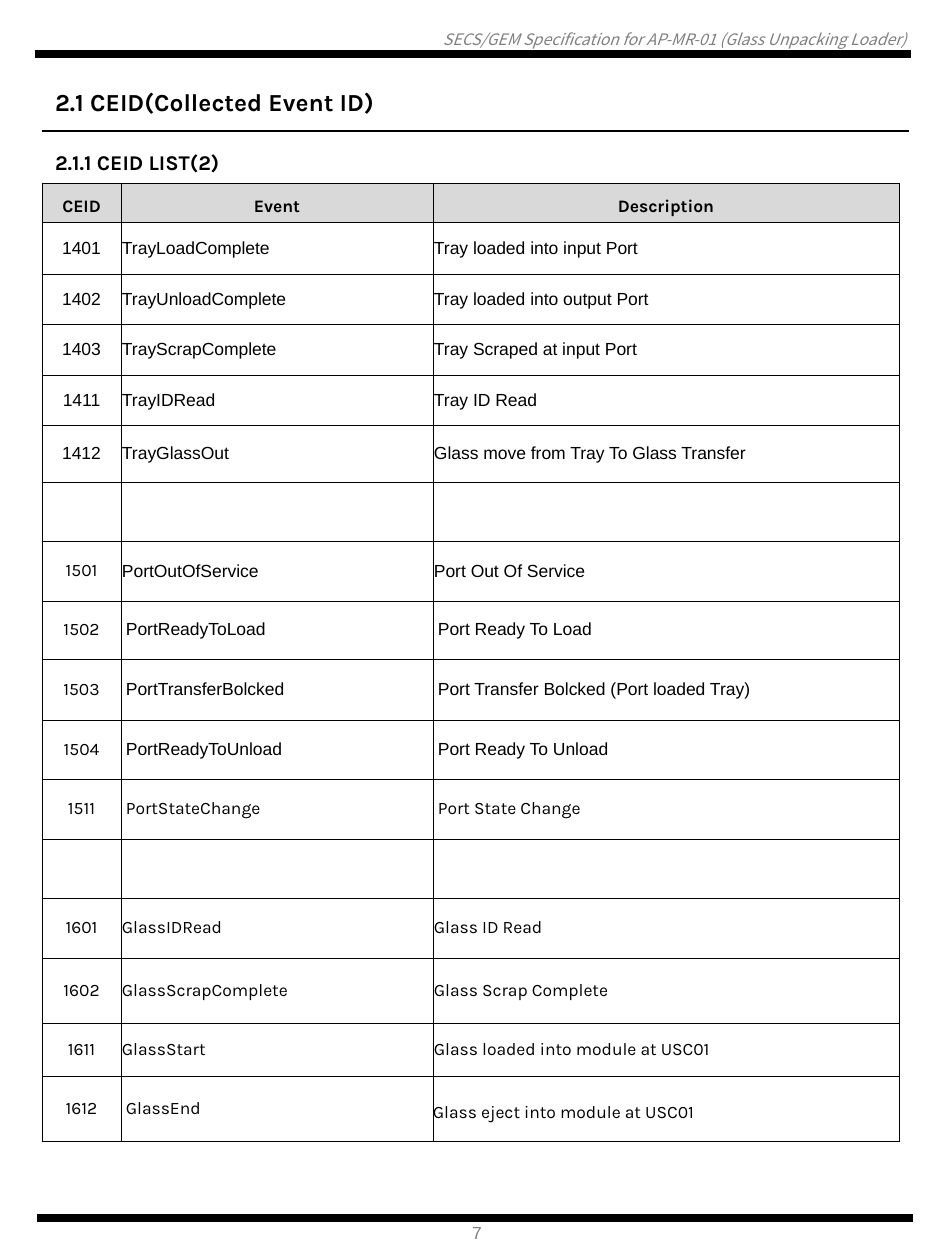
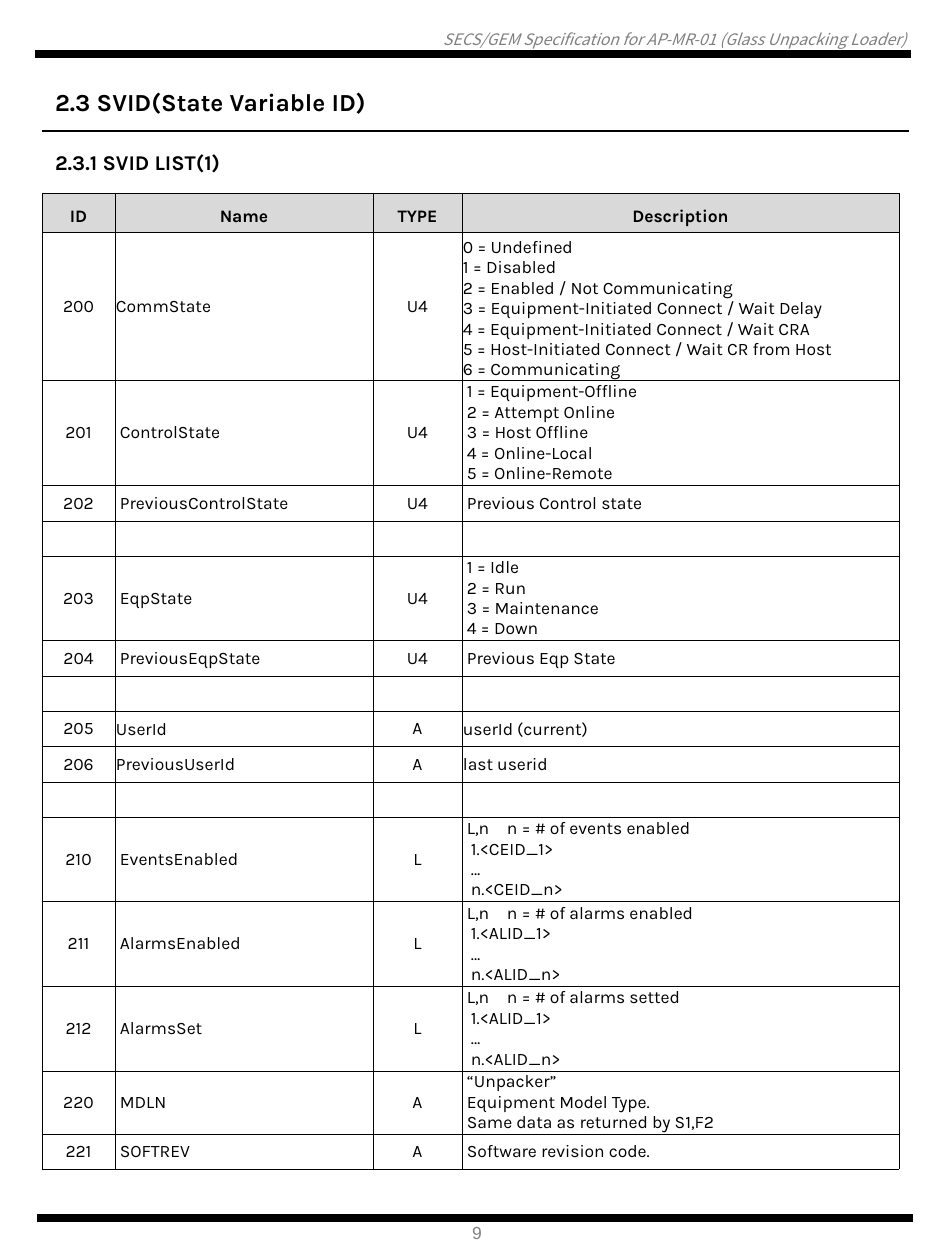
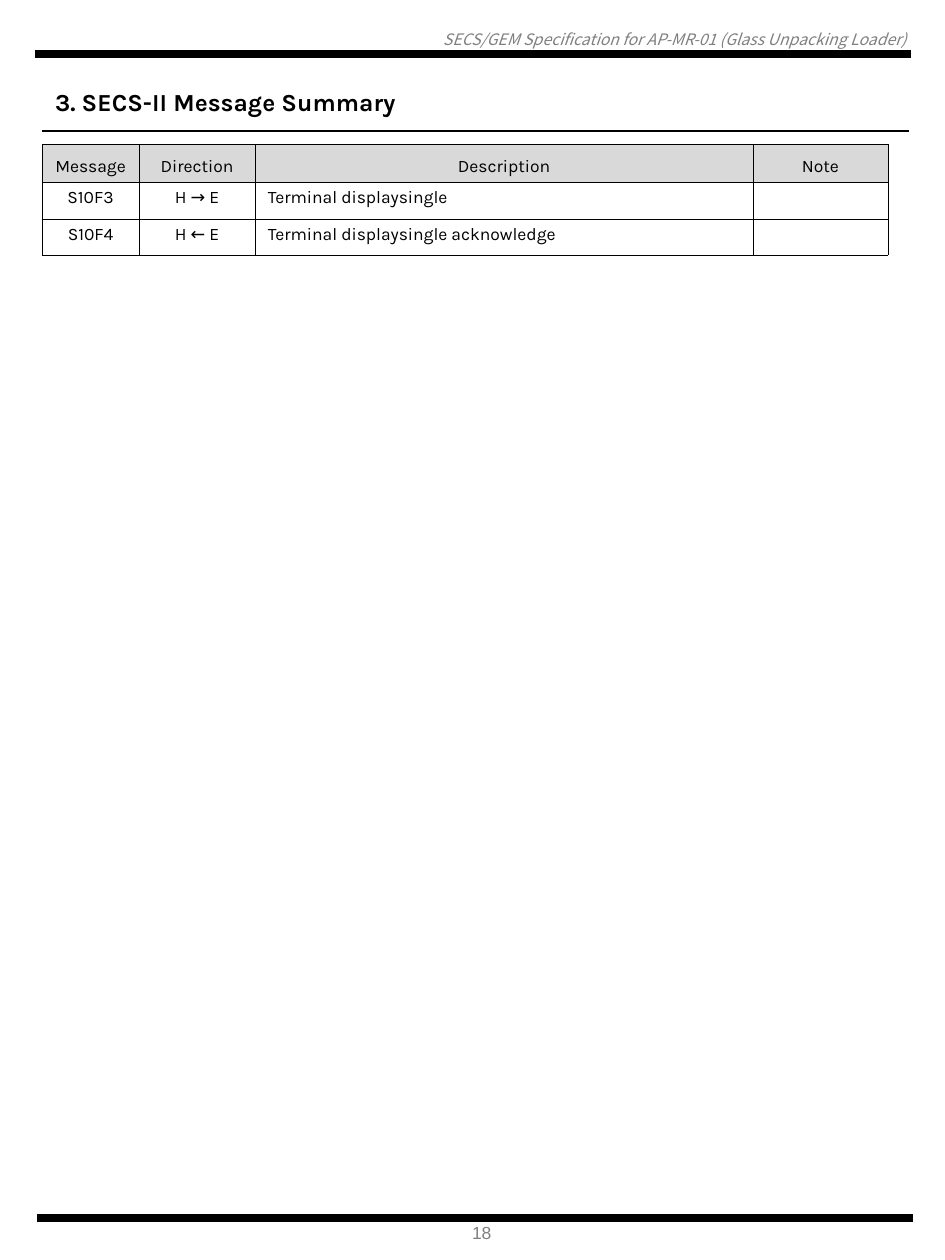
from lxml import etree
from pptx import Presentation
from pptx.dml.color import RGBColor
from pptx.enum.shapes import MSO_CONNECTOR
from pptx.enum.text import MSO_ANCHOR, MSO_AUTO_SIZE, PP_ALIGN
from pptx.oxml.ns import qn
from pptx.util import Emu, Pt

STRAIGHT = MSO_CONNECTOR.STRAIGHT
TOP, MIDDLE, BOTTOM = MSO_ANCHOR.TOP, MSO_ANCHOR.MIDDLE, MSO_ANCHOR.BOTTOM
LEFT, CENTER, RIGHT = PP_ALIGN.LEFT, PP_ALIGN.CENTER, PP_ALIGN.RIGHT
NO_FIT = MSO_AUTO_SIZE.NONE
SCALE = 914400 / 126


class Theme:
    black = RGBColor(0x00, 0x00, 0x00)
    grey = RGBColor(0x80, 0x80, 0x80)
    head_fill = RGBColor(0xD9, 0xD9, 0xD9)
    body, plain, running = "Karla", "Arial", "Noto Sans CJK KR"
    title_size, section_size, text_size, running_size = 14, 12, 10, 9
    band, rule, border = 4.75, 0.75, 0.25
    head_leading = 16


def px(n):
    return Emu(round(n * SCALE))


def write(p, text, font, size, color=Theme.black, bold=False, italic=False):
    for i, line in enumerate(text.split("\n")):
        if i:
            p.add_line_break()
        r = p.add_run()
        r.text = line
        r.font.name, r.font.size = font, Pt(size)
        r.font.bold, r.font.italic = bold, italic
        r.font.color.rgb = color


FONTS = {"K": Theme.body, "A": Theme.plain}
CELL_STYLES = {
    "h": ((0, 5, 0, 5), MIDDLE),
    "t": ((1, 1, 1, 0), MIDDLE),
    "b": ((1, 1, 1, 0), BOTTOM),
    "w": ((5, 0, 5, 0), MIDDLE),
    "d": ((13, 6, 13, 6), TOP),
}

ceid_rows = [
    (39, "hhh", "KKK", ["CEID", "Event", "Description"]),
    (52, "ttt", "AAA", ["1401", "TrayLoadComplete", "Tray loaded into input Port"]),
    (50, "ttt", "AAA", ["1402", "TrayUnloadComplete", "Tray loaded into output Port"]),
    (51, "ttt", "AAA", ["1403", "TrayScrapComplete", "Tray Scraped at input Port"]),
    (50, "ttt", "AAA", ["1411", "TrayIDRead", "Tray ID Read"]),
    (57, "ttt", "AAA", ["1412", "TrayGlassOut", "Glass move from Tray To Glass Transfer"]),
    (59, "www", "KKK", ["", "", ""]),
    (60, "wtt", "KAA", ["1501", "PortOutOfService", "Port Out Of Service"]),
    (58, "www", "KAA", ["1502", "PortReadyToLoad", "Port Ready To Load"]),
    (61, "www", "KAA", ["1503", "PortTransferBolcked", "Port Transfer Bolcked (Port loaded Tray)"]),
    (59, "www", "KAA", ["1504", "PortReadyToUnload", "Port Ready To Unload"]),
    (60, "www", "KKK", ["1511", "PortStateChange", "Port State Change"]),
    (59, "www", "KKK", ["", "", ""]),
    (60, "ttt", "KKK", ["1601", "GlassIDRead", "Glass ID Read"]),
    (65, "ttt", "KKK", ["1602", "GlassScrapComplete", "Glass Scrap Complete"]),
    (54, "ttt", "KKK", ["1611", "GlassStart", "Glass loaded into module at USC01"]),
    (65, "wwh", "KKK", ["1612", "GlassEnd", "Glass eject into module at USC01"]),
]

comm_states = (
    "0 = Undefined\n1 = Disabled\n2 = Enabled / Not Communicating\n"
    "3 = Equipment-Initiated Connect / Wait Delay\n"
    "4 = Equipment-Initiated Connect / Wait CRA\n"
    "5 = Host-Initiated Connect / Wait CR from Host\n6 = Communicating"
)
control_states = (
    "1 = Equipment-Offline\n2 = Attempt Online\n3 = Host Offline\n"
    "4 = Online-Local\n5 = Online-Remote"
)
eqp_states = ["1 = Idle", "2 = Run", "3 = Maintenance", "4 = Down"]
events_enabled = ["L,n\tn = # of events enabled", "1.<CEID_1>", "…", "n.<CEID_n>"]
alarm_ids = ["1.<ALID_1>", "…", "n.<ALID_n>"]
alarms_enabled = ["L,n\tn = # of alarms enabled"] + alarm_ids
alarms_set = ["L,n\tn = # of alarms setted"] + alarm_ids
model = ["“Unpacker”", "Equipment Model Type.\nSame data as returned by S1,F2"]

svid_rows = [
    (39, "hhhh", "KKKK", ["ID", "Name", "TYPE", "Description"]),
    (148, "tttb", "KKKK", ["200", "CommState", "U4", comm_states]),
    (105, "wwww", "KKKK", ["201", "ControlState", "U4", control_states]),
    (36, "wwww", "KKKK", ["202", "PreviousControlState", "U4", "Previous Control state"]),
    (35, "wwww", "KKKK", ["", "", "", ""]),
    (84, "wwww", "KKKK", ["203", "EqpState", "U4", eqp_states]),
    (36, "wwww", "KKKK", ["204", "PreviousEqpState", "U4", "Previous Eqp State"]),
    (35, "wwww", "KKKK", ["", "", "", ""]),
    (35, "wtwt", "KKKK", ["205", "UserId", "A", "userId (current)"]),
    (36, "wtwt", "KKKK", ["206", "PreviousUserId", "A", "last userid"]),
    (35, "wwww", "KKKK", ["", "", "", ""]),
    (84, "wwww", "KKKK", ["210", "EventsEnabled", "L", events_enabled]),
    (85, "wwww", "KKKK", ["211", "AlarmsEnabled", "L", alarms_enabled]),
    (84, "wwww", "KKKK", ["212", "AlarmsSet", "L", alarms_set]),
    (63, "wwww", "KKKK", ["220", "MDLN", "A", model]),
    (35, "wwww", "KKKK", ["221", "SOFTREV", "A", "Software revision code."]),
]

message_rows = [
    (38, "hhhh", "KKKK", ["Message", "Direction", "Description", "Note"]),
    (37, "dddd", "KKKK", ["S10F3", "H → E", "Terminal displaysingle", ""]),
    (36, "dddd", "KKKK", ["S10F4", "H ← E", "Terminal displaysingle acknowledge", ""]),
]

pages = [
    ("7", "2.1 CEID(Collected Event ID)", "2.1.1 CEID LIST(2)",
     183, [79, 312, 466], [0], True, ceid_rows),
    ("9", "2.3 SVID(State Variable ID)", "2.3.1 SVID LIST(1)",
     193, [73, 258, 89, 437], [0, 2], True, svid_rows),
    ("18", "3. SECS-II Message Summary", "",
     144, [97, 116, 498, 135], [0, 1], False, message_rows),
]

prs = Presentation()
prs.slide_width, prs.slide_height = px(945), px(1260)

for number, title, section, top, widths, centered, head_bold, rows in pages:
    s = prs.slides.add_slide(prs.slide_layouts[5])

    for x1, x2, y, weight in [
        (35, 911, 54, Theme.band),
        (37, 913, 1218, Theme.band),
        (42, 909, 131, Theme.rule),
    ]:
        line = s.shapes.add_connector(STRAIGHT, px(x1), px(y), px(x2), px(y))
        line.line.color.rgb = Theme.black
        line.line.width = Pt(weight)
        etree.SubElement(line._element.spPr, qn("a:effectLst"))

    sp = s.shapes.title
    sp.left, sp.top, sp.width, sp.height = px(42), px(81), px(410), px(43)
    tf = sp.text_frame
    tf.auto_size, tf.word_wrap, tf.vertical_anchor = NO_FIT, False, TOP
    tf.margin_left = tf.margin_right = px(13)
    tf.margin_top = tf.margin_bottom = px(6)
    tf.paragraphs[0].alignment = LEFT
    write(tf.paragraphs[0], title, Theme.body, Theme.title_size, bold=True)

    for text, box, inset, align, font, size, color, bold, italic in [
        ("SECS/GEM Specification for AP-MR-01 (Glass Unpacking Loader)", (6, 30, 900, 19),
         (0, 0), RIGHT, Theme.running, Theme.running_size, Theme.grey, False, True),
        (number, (459, 1216, 47, 34),
         (13, 6), LEFT, Theme.plain, Theme.text_size, Theme.grey, False, False),
        (section, (42, 144, 233, 38),
         (13, 6), LEFT, Theme.body, Theme.section_size, Theme.black, True, False),
    ]:
        if not text:
            continue
        tf = s.shapes.add_textbox(*map(px, box)).text_frame
        tf.word_wrap = align == RIGHT
        tf.margin_left = tf.margin_right = px(inset[0])
        tf.margin_top = tf.margin_bottom = px(inset[1])
        tf.paragraphs[0].alignment = align
        write(tf.paragraphs[0], text, font, size, color, bold, italic)

    table = s.shapes.add_table(
        len(rows), len(widths), px(42), px(top),
        px(sum(widths)), px(sum(row[0] for row in rows))).table
    table.horz_banding = False
    for column, width in zip(table.columns, widths):
        column.width = px(width)

    for i, (height, styles, fonts, texts) in enumerate(rows):
        table.rows[i].height = px(height)
        for j, (style, font, text) in enumerate(zip(styles, fonts, texts)):
            cell = table.cell(i, j)
            insets, cell.vertical_anchor = CELL_STYLES[style]
            (cell.margin_left, cell.margin_top,
             cell.margin_right, cell.margin_bottom) = map(px, insets)
            tcPr = cell._tc.get_or_add_tcPr()
            for side in ("a:lnL", "a:lnR", "a:lnT", "a:lnB"):
                ln = etree.SubElement(tcPr, qn(side), w=str(Pt(Theme.border)))
                fill = etree.SubElement(ln, qn("a:solidFill"))
                etree.SubElement(fill, qn("a:srgbClr"), val=str(Theme.black))
            if i == 0:
                cell.fill.solid()
                cell.fill.fore_color.rgb = Theme.head_fill
            else:
                cell.fill.background()

            tf = cell.text_frame
            paragraphs = text if isinstance(text, list) else [text]
            for k, content in enumerate(paragraphs):
                p = tf.paragraphs[0] if k == 0 else tf.add_paragraph()
                p.alignment = CENTER if i == 0 or j in centered else LEFT
                if style == "h":
                    p.line_spacing = Pt(Theme.head_leading)
                if "\t" in content:
                    tabs = etree.SubElement(p._p.get_or_add_pPr(), qn("a:tabLst"))
                    etree.SubElement(tabs, qn("a:tab"), pos=str(px(40)), algn="l")
                elif "\t" in paragraphs[0]:
                    p._p.get_or_add_pPr().set("marL", str(px(4)))
                if content:
                    write(p, content, FONTS[font], Theme.text_size,
                          bold=i == 0 and head_bold)
                else:
                    etree.SubElement(p._p, qn("a:endParaRPr"),
                                     sz=str(Theme.text_size * 100))

prs.save("out.pptx")
